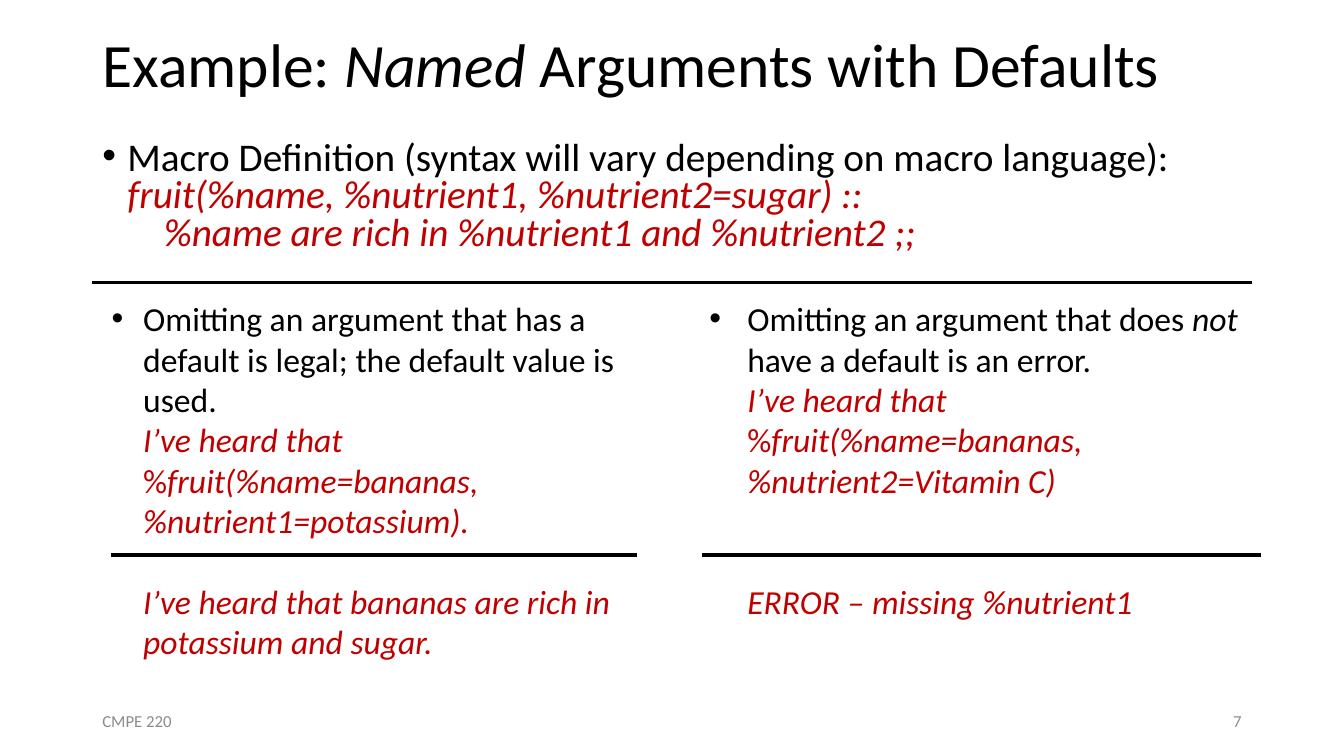
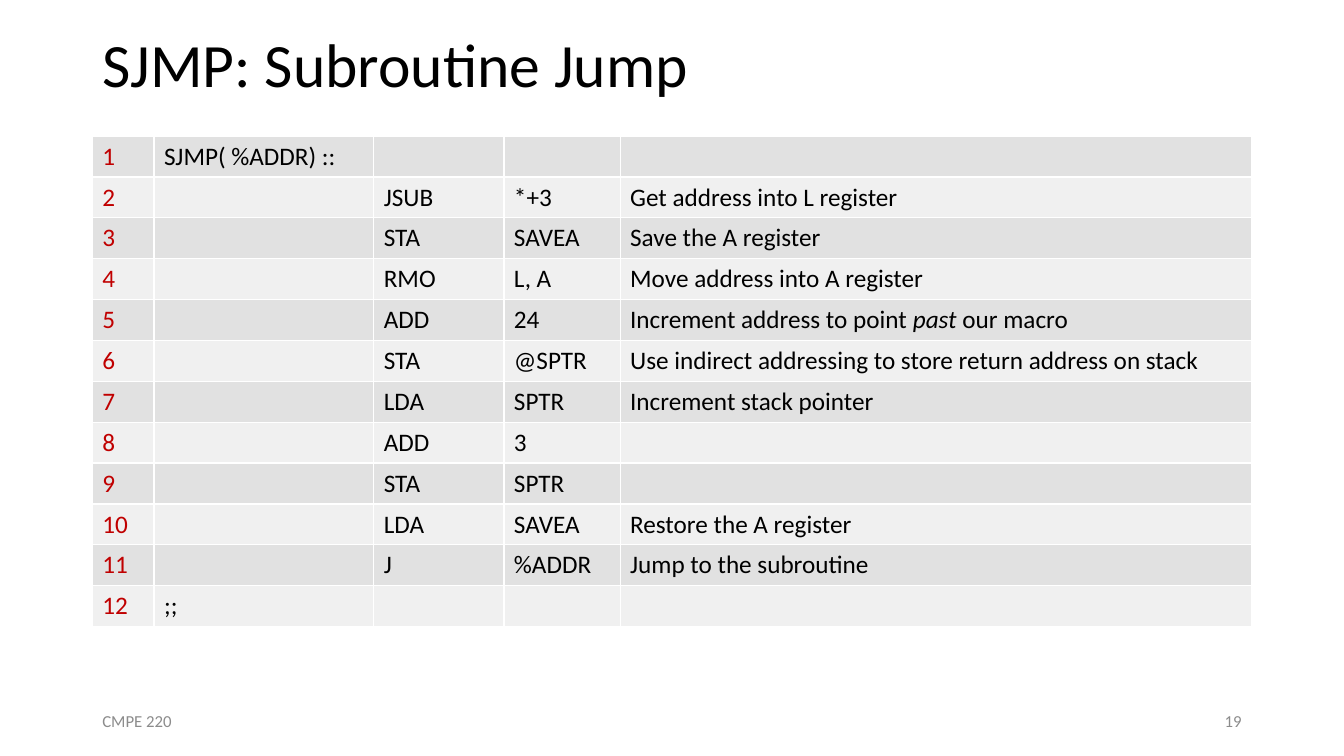
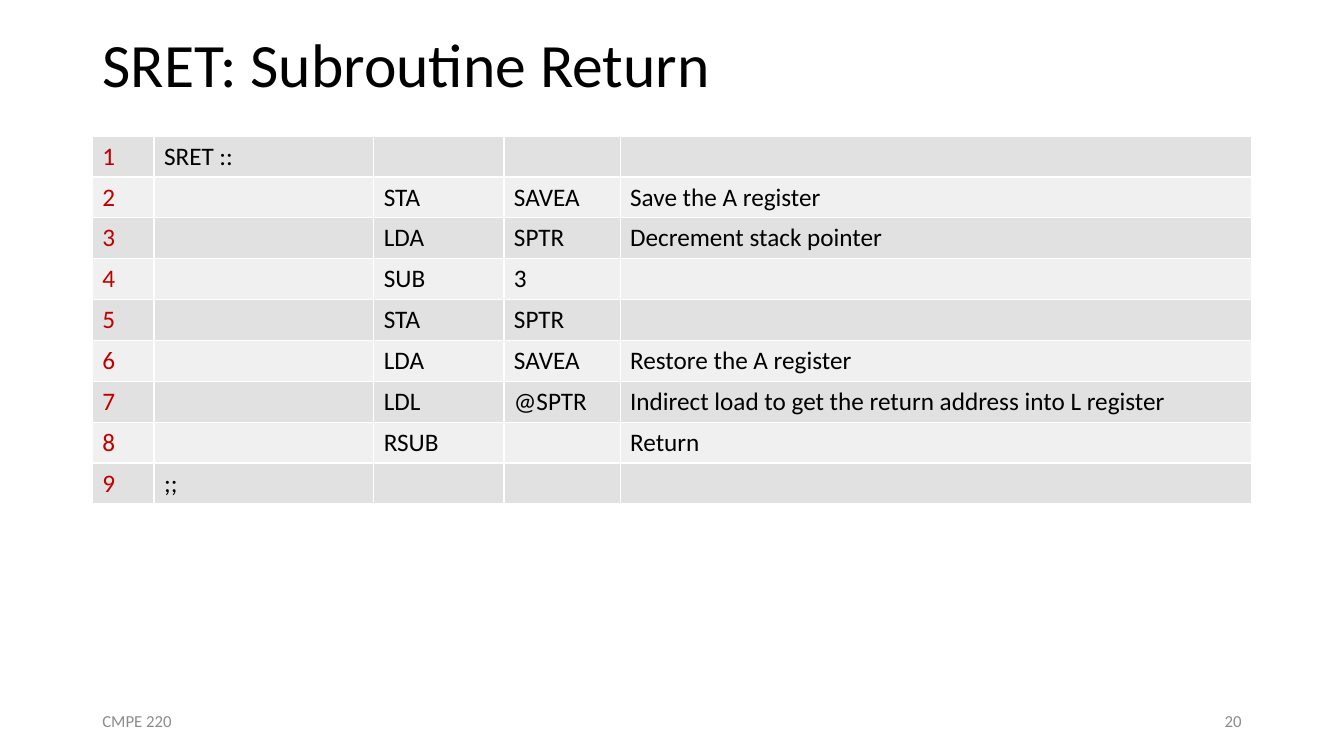
from typing import NamedTuple, Sequence, Union

from lxml import etree
from pptx import Presentation
from pptx.dml.color import RGBColor
from pptx.enum.shapes import MSO_CONNECTOR
from pptx.enum.text import MSO_ANCHOR, MSO_AUTO_SIZE, PP_ALIGN
from pptx.oxml.ns import qn
from pptx.util import Pt

LEFT, RIGHT = PP_ALIGN.LEFT, PP_ALIGN.RIGHT
TOP, MIDDLE = MSO_ANCHOR.TOP, MSO_ANCHOR.MIDDLE
NO_AUTOFIT = MSO_AUTO_SIZE.NONE
STRAIGHT = MSO_CONNECTOR.STRAIGHT

FONT = "Calibri"
BLACK, RED, GREY, WHITE = "000000", "C00000", "8C8C8C", "FFFFFF"
ROW_FILLS = ("E1E1E1", "F0F0F0")

SLIDE_WIDTH, SLIDE_HEIGHT = 960, 540
MARGIN = 66
CONTENT_WIDTH = SLIDE_WIDTH - 2 * MARGIN
TITLE_HEIGHT = 97.2
FOOTER_TOP, FOOTER_WIDTH, FOOTER_HEIGHT = 500.5, 216, 28.8
COURSE = "CMPE 220"

COLUMN_WIDTHS = (44, 157, 93, 83, 451)
ROW_HEIGHT = 29.2


class Run(NamedTuple):
    text: str
    color: str = BLACK
    italic: bool = False


class Box(NamedTuple):
    left: float
    top: float
    width: float
    height: float


class Para(NamedTuple):
    """Lines of runs, split by soft breaks."""
    lines: Sequence[Sequence[Run]]
    indent: float = 0
    bullet: bool = False
    space_before: float = 0
    line_spacing: float = 1.0
    align: PP_ALIGN = LEFT


class Divider(NamedTuple):
    start: float
    end: float
    y: float
    weight: float


class Instruction(NamedTuple):
    label: str = ""
    opcode: str = ""
    operand: str = ""
    remark: Union[str, Sequence[Run]] = ""


def rgb(color: str) -> RGBColor:
    return RGBColor.from_string(color)


def code(text: str) -> Run:
    return Run(text, RED, True)


def add_runs(paragraph, runs: Sequence[Run], size: float) -> None:
    for item in runs:
        run = paragraph.add_run()
        run.text = item.text
        run.font.name = FONT
        run.font.size = Pt(size)
        run.font.italic = item.italic
        run.font.color.rgb = rgb(item.color)


def set_indent(paragraph, indent: float, bullet: bool) -> None:
    properties = paragraph._p.get_or_add_pPr()
    properties.set("marL", str(Pt(indent)))
    properties.set("indent", str(-Pt(indent) if bullet else 0))
    if bullet:
        etree.SubElement(properties, qn("a:buFont"), typeface="Arial")
        etree.SubElement(properties, qn("a:buChar"), char="•")


def add_text(slide, box: Box, paras: Sequence[Para], size: float, anchor=TOP) -> None:
    frame = slide.shapes.add_textbox(*map(Pt, box)).text_frame
    frame.word_wrap = True
    frame.vertical_anchor = anchor
    for index, para in enumerate(paras):
        paragraph = frame.add_paragraph() if index else frame.paragraphs[0]
        paragraph.alignment = para.align
        paragraph.line_spacing = para.line_spacing
        paragraph.space_before = Pt(para.space_before)
        set_indent(paragraph, para.indent, para.bullet)
        for line_index, runs in enumerate(para.lines):
            if line_index:
                paragraph.add_line_break()
            add_runs(paragraph, runs, size)


def add_divider(slide, divider: Divider) -> None:
    line = slide.shapes.add_connector(
        STRAIGHT, Pt(divider.start), Pt(divider.y), Pt(divider.end), Pt(divider.y))
    line.line.color.rgb = rgb(BLACK)
    line.line.width = Pt(divider.weight)
    etree.SubElement(line._element.spPr, qn("a:effectLst"))


def add_page(deck, title_runs: Sequence[Run], number: int):
    """Add a slide with its title, course name and slide number."""
    slide = deck.slides.add_slide(deck.slide_layouts[5])
    title = slide.shapes.title
    title.left, title.top = Pt(MARGIN), Pt(0)
    title.width, title.height = Pt(CONTENT_WIDTH), Pt(TITLE_HEIGHT)
    frame = title.text_frame
    frame.auto_size = NO_AUTOFIT
    frame.vertical_anchor = MIDDLE
    heading = frame.paragraphs[0]
    heading.alignment = LEFT
    heading.line_spacing = 0.9
    add_runs(heading, title_runs, 44)

    number_left = SLIDE_WIDTH - MARGIN - FOOTER_WIDTH
    for left, text, align in ((MARGIN, COURSE, LEFT), (number_left, str(number), RIGHT)):
        add_text(slide, Box(left, FOOTER_TOP, FOOTER_WIDTH, FOOTER_HEIGHT),
                 [Para([[Run(text, GREY)]], align=align)], 12, MIDDLE)
    return slide


def set_borders(cell) -> None:
    properties = cell._tc.get_or_add_tcPr()
    for side in ("lnL", "lnR", "lnT", "lnB"):
        border = etree.SubElement(properties, qn(f"a:{side}"), w=str(Pt(1)))
        fill = etree.SubElement(border, qn("a:solidFill"))
        etree.SubElement(fill, qn("a:srgbClr"), val=WHITE)


def add_listing(slide, instructions: Sequence[Instruction]) -> None:
    """Draw numbered assembly lines as a banded table."""
    count = len(instructions)
    table = slide.shapes.add_table(
        count, len(COLUMN_WIDTHS), Pt(MARGIN), Pt(TITLE_HEIGHT),
        Pt(CONTENT_WIDTH), Pt(ROW_HEIGHT * count)).table
    table.first_row = table.horz_banding = False
    for column, width in zip(table.columns, COLUMN_WIDTHS):
        column.width = Pt(width)
    for index, (row, instruction) in enumerate(zip(table.rows, instructions)):
        row.height = Pt(ROW_HEIGHT)
        contents = ([Run(str(index + 1), RED)], *instruction)
        for cell, content in zip(row.cells, contents):
            set_borders(cell)
            cell.fill.solid()
            cell.fill.fore_color.rgb = rgb(ROW_FILLS[index % 2])
            if content:
                runs = [Run(content)] if isinstance(content, str) else content
                add_runs(cell.text_frame.paragraphs[0], runs, 18)


def add_arguments_page(deck) -> None:
    slide = add_page(
        deck, [Run("Example: "), Run("Named", italic=True), Run(" Arguments with Defaults")], 7)
    add_text(slide, Box(MARGIN, TITLE_HEIGHT, CONTENT_WIDTH, 95.8), [
        Para([[Run("Macro Definition (syntax will vary depending on macro language):")],
              [code("fruit(%name, %nutrient1, %nutrient2=sugar) ::")]],
             18, True, 10, 0.8),
        Para([[code("%name are rich in %nutrient1 and %nutrient2 ;;")]], 44, line_spacing=0.8),
    ], 28)

    call_start = [code("I’ve heard that "), Run("%", RED)]
    add_text(slide, Box(72.7, 209.5, 401.8, 269.3), [
        Para([[Run("Omitting an argument that has a default is legal; "
                   "the default value is used.")],
              [*call_start, code("fruit(%name=bananas, %nutrient1=potassium).")]], 22.5, True),
        Para([[code("I’ve heard that bananas are rich in potassium and sugar.")]],
             22.5, space_before=29),
    ], 24)
    add_text(slide, Box(499.7, 209.5, 401.8, 239.8), [
        Para([[Run("Omitting an argument that does "), Run("not", italic=True),
               Run(" have a default is an error.")],
              [*call_start, code("fruit(%name=bananas, %nutrient2=Vitamin C)")]], 27, True),
        Para([[code("ERROR – missing %nutrient1")]], 27, space_before=58),
    ], 24)

    for divider in (Divider(MARGIN, SLIDE_WIDTH - MARGIN, 201.6, 2.25),
                    Divider(79.2, 455, 396.7, 3),
                    Divider(501.8, 900.7, 396.7, 3)):
        add_divider(slide, divider)


JUMP_LISTING = (
    Instruction("SJMP( %ADDR) ::"),
    Instruction("", "JSUB", "*+3", "Get address into L register"),
    Instruction("", "STA", "SAVEA", "Save the A register"),
    Instruction("", "RMO", "L, A", "Move address into A register"),
    Instruction("", "ADD", "24", (Run("Increment address to point "),
                                  Run("past", italic=True), Run(" our macro"))),
    Instruction("", "STA", "@SPTR", "Use indirect addressing to store return address on stack"),
    Instruction("", "LDA", "SPTR", "Increment stack pointer"),
    Instruction("", "ADD", "3"),
    Instruction("", "STA", "SPTR"),
    Instruction("", "LDA", "SAVEA", "Restore the A register"),
    Instruction("", "J", "%ADDR", "Jump to the subroutine"),
    Instruction(";;"),
)

RETURN_LISTING = (
    Instruction("SRET ::"),
    Instruction("", "STA", "SAVEA", "Save the A register"),
    Instruction("", "LDA", "SPTR", "Decrement stack pointer"),
    Instruction("", "SUB", "3"),
    Instruction("", "STA", "SPTR"),
    Instruction("", "LDA", "SAVEA", "Restore the A register"),
    Instruction("", "LDL", "@SPTR", "Indirect load to get the return address into L register"),
    Instruction("", "RSUB", "", "Return"),
    Instruction(";;"),
)


def main() -> None:
    deck = Presentation()
    deck.slide_width, deck.slide_height = Pt(SLIDE_WIDTH), Pt(SLIDE_HEIGHT)
    add_arguments_page(deck)
    for title, number, listing in (("SJMP: Subroutine Jump", 19, JUMP_LISTING),
                                   ("SRET: Subroutine Return", 20, RETURN_LISTING)):
        add_listing(add_page(deck, [Run(title)], number), listing)
    deck.save("out.pptx")


if __name__ == "__main__":
    main()
